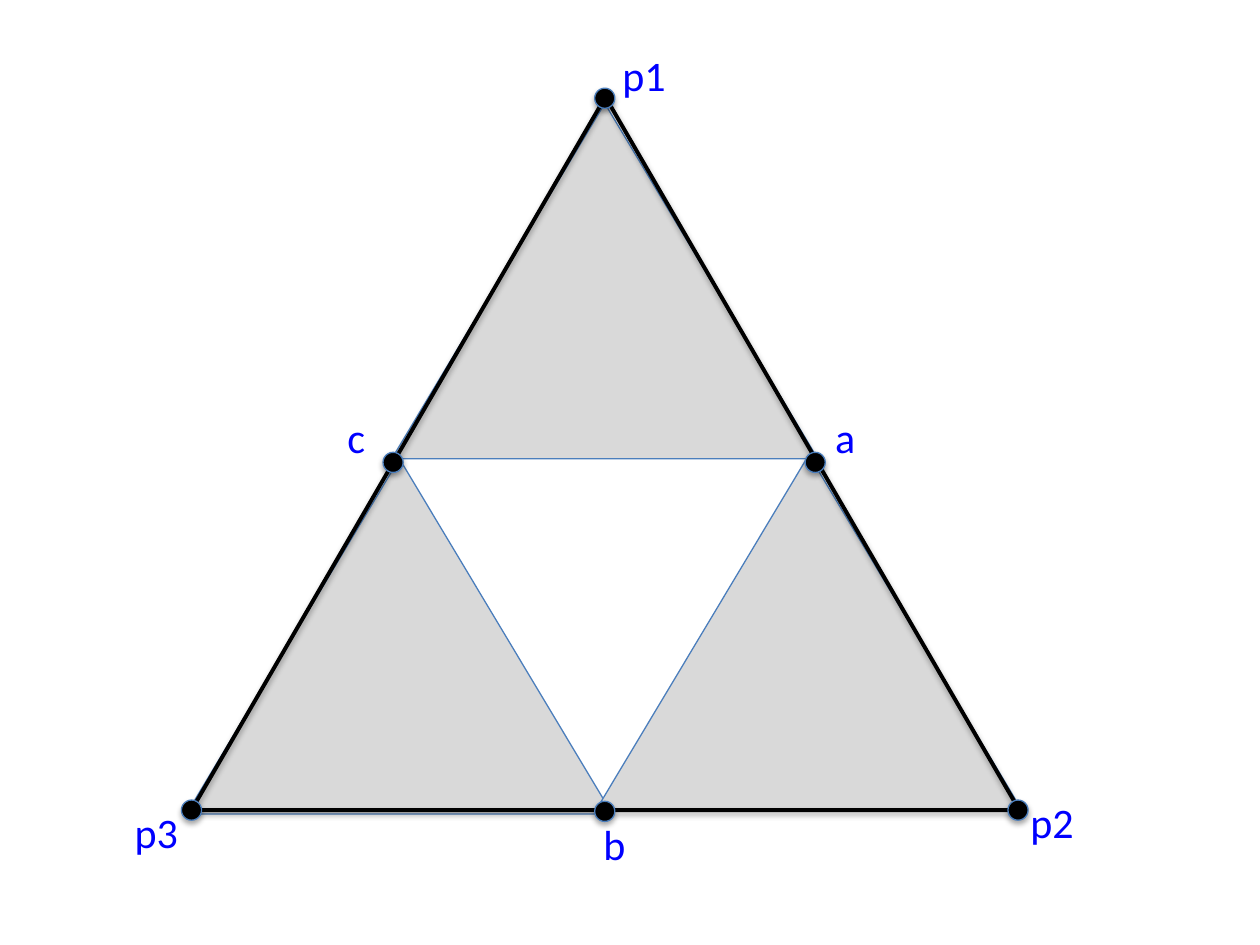
import pptx
import pptx.util
import pptx.dml.color
import pptx.enum.shapes
import pptx.enum.text

Inches = pptx.util.Inches
Pt = pptx.util.Pt
RGBColor = pptx.dml.color.RGBColor
SHAPE = pptx.enum.shapes.MSO_SHAPE

GREY = RGBColor(0xD9, 0xD9, 0xD9)
STEEL = RGBColor(0x4B, 0x7E, 0xBC)
BLACK = RGBColor(0, 0, 0)
BLUE = RGBColor(0, 0, 0xFF)

DOT = 0.16
TEXT_HIGH = 0.5

# Left and top of each part, measured from the corner of the figure.
SMALL = [(-0.04, 2.87), (3.21, 2.84), (1.59, 0.05)]
# Name, dot centre, label corner and label width.
POINTS = [
    ("p1", (3.28, 0.01), (3.32, -0.43), 0.55),
    ("p2", (6.56, 5.66), (6.56, 5.50), 0.55),
    ("p3", (0.00, 5.66), (-0.55, 5.58), 0.55),
    ("a", (4.95, 2.90), (5.01, 2.45), 0.36),
    ("b", (3.28, 5.67), (3.17, 5.68), 0.38),
    ("c", (1.60, 2.90), (1.14, 2.45), 0.34),
]


def add_form(slide, kind, box, fill=None, line=STEEL, width=0.75, shadow=True):
    """Add a preset shape; a shadowed one keeps the soft shadow of the theme."""
    form = slide.shapes.add_shape(kind, *map(Inches, box))
    if fill is None:
        form.fill.background()
    else:
        form.fill.solid()
        form.fill.fore_color.rgb = fill
    form.line.color.rgb = line
    form.line.width = Pt(width)
    if not shadow:
        form.shadow.inherit = False


def add_text(slide, text, box, size=24, color=BLUE, font="Calibri"):
    label = slide.shapes.add_textbox(*map(Inches, box))
    frame = label.text_frame
    frame.word_wrap = False
    frame.auto_size = pptx.enum.text.MSO_AUTO_SIZE.SHAPE_TO_FIT_TEXT
    run = frame.paragraphs[0].add_run()
    run.text = text
    run.font.size = Pt(size)
    run.font.name = font
    run.font.color.rgb = color


def draw_faces(slide, box):
    left, top, width, height = box
    for x, y in SMALL:
        add_form(slide, SHAPE.ISOSCELES_TRIANGLE,
                 (left + x, top + y, 3.38, 2.82), fill=GREY, shadow=False)
    add_form(slide, SHAPE.ISOSCELES_TRIANGLE, box, line=BLACK, width=2.25)


def draw_points(slide, box):
    left, top = box[:2]
    for name, (x, y), spot, wide in POINTS:
        add_form(slide, SHAPE.OVAL,
                 (left + x - DOT / 2, top + y - DOT / 2, DOT, DOT), fill=BLACK)
        add_text(slide, name,
                 (left + spot[0], top + spot[1], wide, TEXT_HIGH))


def main():
    deck = pptx.Presentation()
    deck.slide_width = Inches(10)
    deck.slide_height = Inches(7.5)
    slide = deck.slides.add_slide(deck.slide_layouts[6])
    figure = (1.52, 0.77, 6.57, 5.66)
    draw_faces(slide, figure)
    draw_points(slide, figure)
    deck.save("out.pptx")


if __name__ == "__main__":
    main()
